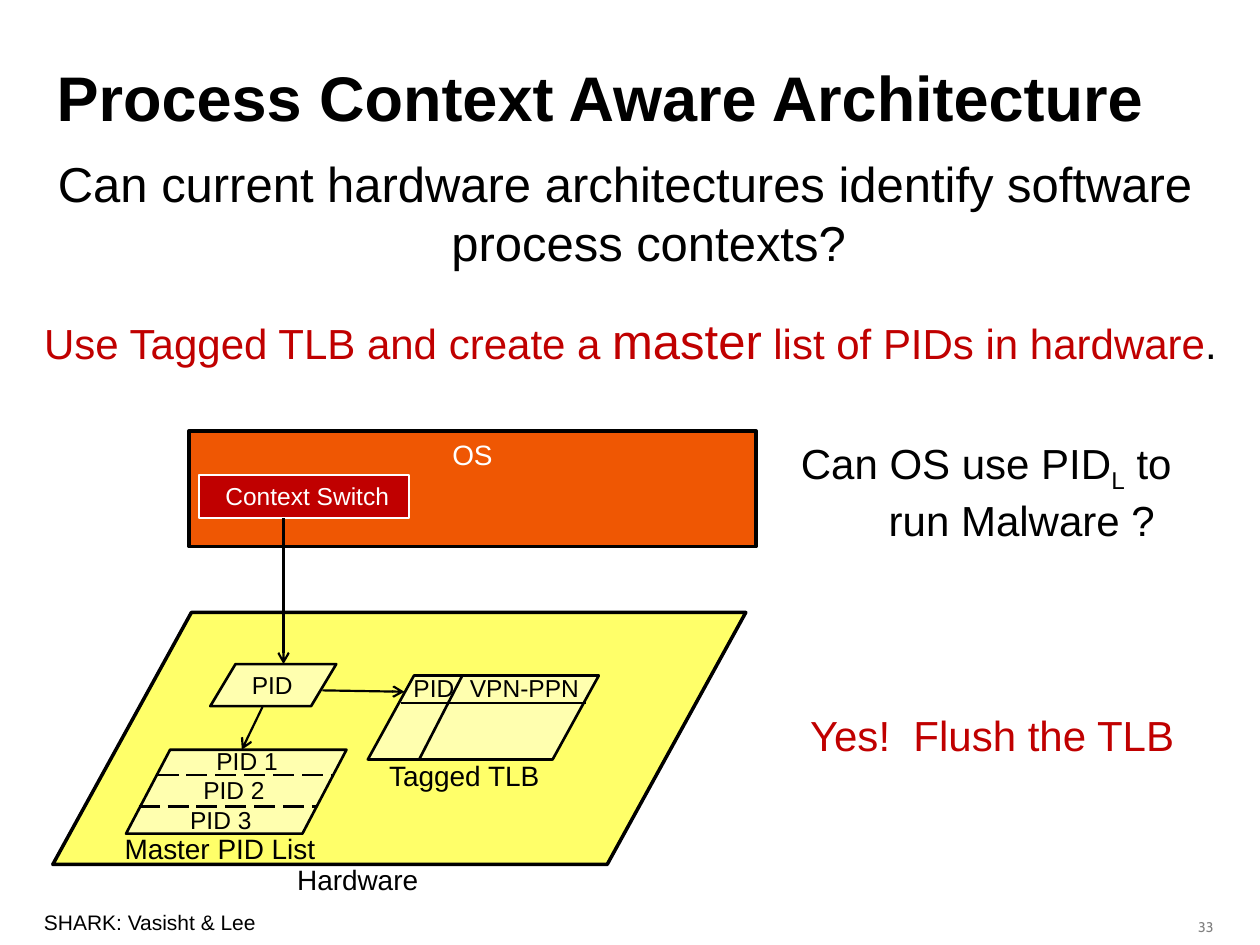
from dataclasses import dataclass
from typing import Optional

from lxml import etree
from pptx import Presentation
from pptx.dml.color import RGBColor
from pptx.enum import dml, shapes, text
from pptx.oxml import ns
from pptx.util import Pt

COLORS = {
    "black": "000000", "white": "FFFFFF", "red": "C00000", "orange": "EF5703",
    "yellow": "FFFF69", "cream": "FFFFAF", "gray": "808080",
}
RECT = shapes.MSO_SHAPE.RECTANGLE
SLANTED = shapes.MSO_SHAPE.FLOWCHART_DATA
LEFT, CENTER, RIGHT = (text.PP_ALIGN.LEFT, text.PP_ALIGN.CENTER, text.PP_ALIGN.RIGHT)


@dataclass
class Run:
    text: str
    size: Optional[float] = None
    color: Optional[str] = None
    baseline: int = 0


@dataclass
class Label:
    left: float
    top: float
    width: float
    height: float
    runs: list[Run]
    size: float = 14
    color: str = "black"
    align: text.PP_ALIGN = LEFT
    margin: float = 0
    indent: float = 0
    font: str = "Arial"


@dataclass
class Block:
    left: float
    top: float
    width: float
    height: float
    fill: str
    kind: shapes.MSO_SHAPE = SLANTED
    line: str = "black"
    weight: float = 1.5
    caption: str = ""
    size: float = 14
    align: text.PP_ALIGN = CENTER
    inset: float = 7.2


@dataclass
class Line:
    x1: float
    y1: float
    x2: float
    y2: float
    weight: float = 1.5
    dashed: bool = False
    arrow: bool = False


def rgb(name: str) -> RGBColor:
    return RGBColor.from_string(COLORS[name])


def set_font(font, size: float, color: str, name: str = "Arial") -> None:
    font.name, font.size = name, Pt(size)
    font.color.rgb = rgb(color)


def draw_label(slide, label: Label) -> None:
    sp = slide.shapes.add_textbox(
        Pt(label.left), Pt(label.top), Pt(label.width), Pt(label.height))
    tf = sp.text_frame
    tf.word_wrap = True
    p = tf.paragraphs[0]
    p.alignment = label.align
    if label.margin:
        pPr = p._p.get_or_add_pPr()
        pPr.set("marL", str(Pt(label.margin)))
        pPr.set("indent", str(Pt(label.indent)))
    set_font(p.font, label.size, label.color, label.font)
    for run in label.runs:
        r = p.add_run()
        r.text = run.text
        set_font(r.font, run.size or label.size, run.color or label.color, label.font)
        if run.baseline:
            r._r.get_or_add_rPr().set("baseline", str(run.baseline * 1000))


def draw_block(slide, block: Block) -> None:
    sp = slide.shapes.add_shape(
        block.kind, Pt(block.left), Pt(block.top), Pt(block.width), Pt(block.height))
    sp.shadow.inherit = False
    sp.fill.solid()
    sp.fill.fore_color.rgb = rgb(block.fill)
    sp.line.color.rgb = rgb(block.line)
    sp.line.width = Pt(block.weight)
    if block.caption:
        tf = sp.text_frame
        tf.vertical_anchor = text.MSO_ANCHOR.TOP
        tf.margin_left = Pt(block.inset)
        p = tf.paragraphs[0]
        p.text, p.alignment = block.caption, block.align
        set_font(p.font, block.size, "white")


def draw_line(slide, line: Line) -> None:
    cxn = slide.shapes.add_connector(
        shapes.MSO_CONNECTOR.STRAIGHT,
        Pt(line.x1), Pt(line.y1), Pt(line.x2), Pt(line.y2))
    cxn.line.color.rgb = rgb("black")
    cxn.line.width = Pt(line.weight)
    if line.dashed:
        cxn.line.dash_style = dml.MSO_LINE.LONG_DASH
    if line.arrow:
        etree.SubElement(cxn.line._get_or_add_ln(), ns.qn("a:tailEnd"), type="arrow")
    etree.SubElement(cxn._element.spPr, ns.qn("a:effectLst"))


def draw_title(slide, title: str) -> None:
    sp = slide.shapes.title
    sp.left, sp.top, sp.width, sp.height = Pt(25.2), Pt(25.2), Pt(648), Pt(59.8)
    tf = sp.text_frame
    tf.auto_size = text.MSO_AUTO_SIZE.NONE
    tf.vertical_anchor = text.MSO_ANCHOR.MIDDLE
    p = tf.paragraphs[0]
    p.text, p.alignment = title, LEFT
    set_font(p.font, 36, "black")
    p.font.bold = True


BLOCKS = [
    Block(108, 246.2, 324, 66.2, "orange", RECT, weight=2, caption="OS", size=16),
    Block(30.2, 350, 396, 144, "yellow", weight=2),  # hardware
    Block(210.2, 386, 132, 48, "cream"),  # tagged TLB
    Block(120.2, 379.5, 72, 24, "cream"),  # current PID
    Block(113.8, 271.4, 120.2, 24.5, "red", RECT, "white", 1.25,
          "Context Switch", align=LEFT, inset=15),
    Block(72, 428.4, 126, 48, "cream"),  # master PID list
]

LINES = [
    Line(264.2, 386, 239.8, 433.5),
    Line(229, 401.8, 334.8, 401.8),
    Line(90, 442.8, 190.8, 442.8, dashed=True),
    Line(79.2, 460.8, 181.4, 460.8, dashed=True),
    Line(162, 296, 162, 379.5, 1.25, arrow=True),
    Line(150, 404, 138.2, 428.4, 1.25, arrow=True),
    Line(184.3, 394.5, 231.1, 395.3, 1.25, arrow=True),
]

LABELS = [
    Label(12.2, 84.2, 689.8, 91.4,
          [Run("Can current hardware architectures identify software process contexts?")],
          28, align=CENTER, margin=27, indent=-27),
    Label(12.2, 174.2, 696.2, 59.8,
          [Run("Use Tagged TLB and create a "), Run("master", 28),
           Run(" list of PIDs in hardware"), Run(".", color="black")],
          24, "red", CENTER, 27, -27),
    Label(432, 246.2, 275.8, 66.2,
          [Run("Can OS use PID"), Run("L", baseline=-25), Run(" to run Malware ?")],
          24, margin=68.8, indent=-50.2),
    Label(455.8, 401.8, 228.2, 30.2, [Run("Yes!  Flush the TLB")], 24, "red"),
    Label(162.7, 489.6, 90, 26.6, [Run("Hardware")], 16),
    Label(215.3, 429.8, 102.2, 26.6, [Run("Tagged TLB")], 16),
    Label(64.1, 471.6, 131.8, 26.6, [Run("Master PID List")], 16),
    Label(229.2, 380.9, 42, 24.5, [Run("PID")]),
    Label(261.4, 380.9, 90, 24.5, [Run("VPN-PPN")]),
    Label(136.8, 379.5, 42, 24.5, [Run("PID")]),
    *(Label(116.6 - 7.5 * i, 422.6 + 17 * i, 58, 24.5, [Run(f"PID {i + 1}")])
      for i in range(3)),
    Label(18, 516.2, 210.2, 21.6, [Run("SHARK: Vasisht & Lee")], 12),
    Label(653, 521.3, 47.5, 12.2, [Run("33")], 8, "gray", RIGHT, font="Cabin"),
]


def main() -> None:
    prs = Presentation()
    prs.slide_width, prs.slide_height = Pt(720), Pt(540)
    slide = prs.slides.add_slide(prs.slide_layouts.get_by_name("Title Only"))
    draw_title(slide, "Process Context Aware Architecture")
    for block in BLOCKS:
        draw_block(slide, block)
    for line in LINES:
        draw_line(slide, line)
    for label in LABELS:
        draw_label(slide, label)
    prs.save("out.pptx")


if __name__ == "__main__":
    main()
